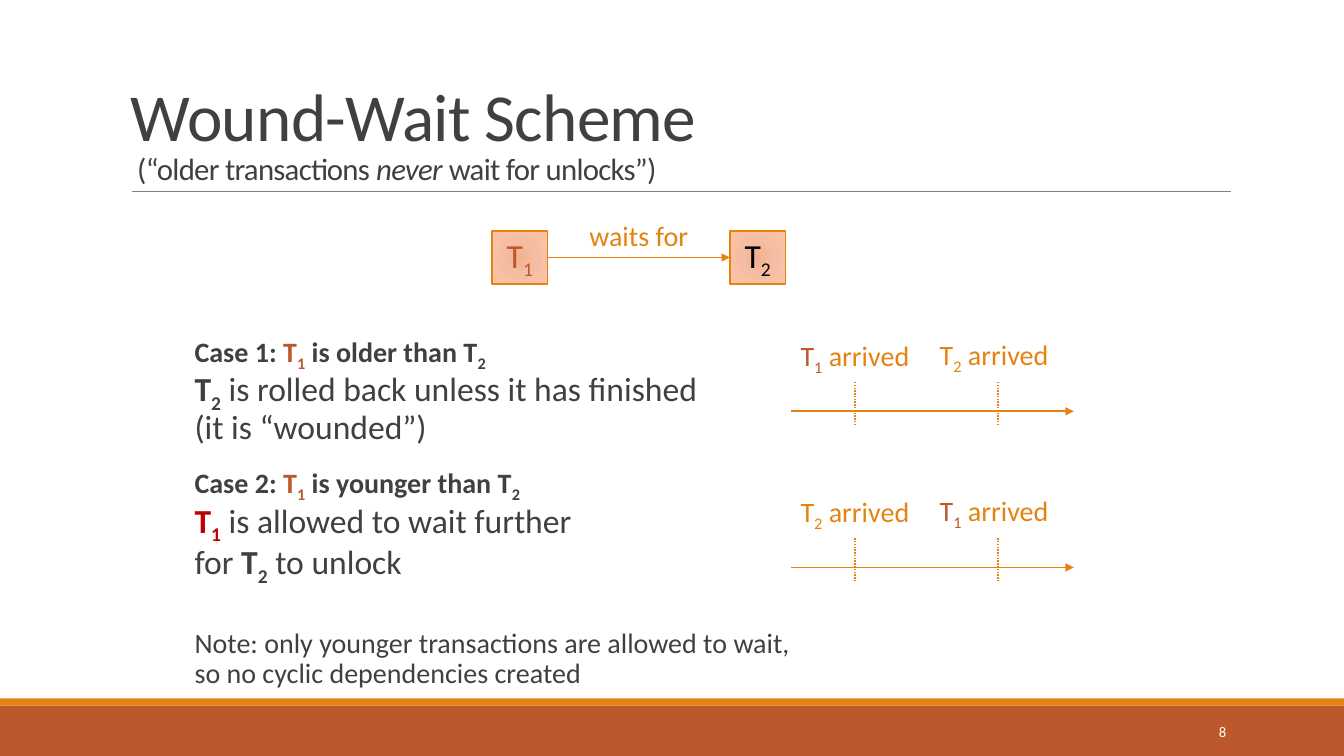
from lxml.etree import SubElement
from pptx import Presentation
from pptx.dml.color import RGBColor
from pptx.enum.dml import MSO_LINE
from pptx.enum.shapes import MSO_CONNECTOR, MSO_SHAPE
from pptx.enum.text import MSO_ANCHOR as ANCHOR, PP_ALIGN as ALIGN
from pptx.oxml import parse_xml
from pptx.oxml.ns import nsdecls, qn
from pptx.util import Inches, Pt

FONT = "Calibri"
COLORS = {
    "text": "404040",
    "orange": "E48312",
    "rust": "BD582C",
    "red": "C00000",
    "rule": "808080",
    "white": "FFFFFF",
    "black": "000000",
}
BOX_GRADIENT = [(0, "F0B191"), (45, "F5BEA4"), (100, "FDC3A8")]


def rgb(name):
    return RGBColor.from_string(COLORS[name])


def transaction(number, **style):
    return [("T", style), (str(number), {**style, "base": -25})]


def add_span(para, text, size=20, color="text", bold=False, italic=False, base=0, spacing=0):
    for index, line in enumerate(text.split("\n")):
        if index:
            para.add_line_break()
        if not line:
            continue
        span = para.add_run()
        span.text = line
        font = span.font
        font.name, font.size = FONT, Pt(size)
        font.bold, font.italic = bold, italic
        font.color.rgb = rgb(color)
        properties = span._r.get_or_add_rPr()
        if base:
            properties.set("baseline", str(base * 1000))
        if spacing:
            properties.set("spc", str(int(spacing * 100)))


def write_text(frame, paragraphs, align=ALIGN.LEFT, anchor=ANCHOR.TOP, wrap=True,
               line_spacing=None, gaps=None, after=0, indent=0, side_inset=0.1, **style):
    frame.word_wrap = wrap
    frame.vertical_anchor = anchor
    frame.margin_left = frame.margin_right = Inches(side_inset)
    for index, spans in enumerate(paragraphs):
        para = frame.add_paragraph() if index else frame.paragraphs[0]
        para.alignment = align
        if line_spacing:
            para.line_spacing = line_spacing
        if index and gaps:
            para.space_before = Pt(gaps[index - 1])
        para.space_after = Pt(after)
        if indent:
            para._p.get_or_add_pPr().set("marL", str(Inches(indent)))
        for text, own in spans:
            add_span(para, text, **{**style, **own})


def add_text(page, left, top, width, height, paragraphs, **style):
    box = page.shapes.add_textbox(Inches(left), Inches(top), Inches(width), Inches(height))
    write_text(box.text_frame, paragraphs, **style)


def add_rect(page, left, top, width, height, fill=None):
    rect = page.shapes.add_shape(
        MSO_SHAPE.RECTANGLE, Inches(left), Inches(top), Inches(width), Inches(height))
    rect.shadow.inherit = False
    rect.line.fill.background()
    if fill:
        rect.fill.solid()
        rect.fill.fore_color.rgb = rgb(fill)
    return rect


def add_line(page, start, end, color="orange", width=1.25, arrow=False, dash=None):
    line = page.shapes.add_connector(
        MSO_CONNECTOR.STRAIGHT, *(Inches(value) for value in (*start, *end)))
    line.line.color.rgb = rgb(color)
    line.line.width = Pt(width)
    if dash:
        line.line.dash_style = dash
    if arrow:
        SubElement(line.line._get_or_add_ln(), qn("a:tailEnd"), type="triangle")
    SubElement(line._element.spPr, qn("a:effectLst"))
    return line


def fill_radial(shape, stops):
    shape.fill.background()
    properties = shape._element.spPr
    stop_xml = "".join(
        f'<a:gs pos="{position * 1000}"><a:srgbClr val="{color}"/></a:gs>'
        for position, color in stops)
    gradient = parse_xml(
        f'<a:gradFill {nsdecls("a")} rotWithShape="1"><a:gsLst>{stop_xml}</a:gsLst>'
        '<a:path path="circle"><a:fillToRect l="100000" t="100000" r="100000" b="100000"/>'
        '</a:path></a:gradFill>')
    properties.replace(properties.find(qn("a:noFill")), gradient)


def draw_footer(page, top, width, height):
    add_rect(page, 0, top + 0.07, width, height - 0.07, "rust")
    add_rect(page, 0, top, width, 0.07, "orange")
    add_text(page, width - 2.5, top + 0.13, 1.43, 0.4, [[("8", {})]],
             size=10.5, color="white", align=ALIGN.RIGHT, anchor=ANCHOR.MIDDLE)


def draw_title(page, left, top, width, height):
    bottom = top + height
    add_line(page, (left + 0.11, bottom), (left + width + 0.01, bottom), "rule", 0.5)
    spans = [
        ("Wound-Wait Scheme\n", {"size": 48}),
        (" ", {"size": 20}),
        ("(“older transactions ", {}),
        ("never", {"italic": True}),
        (" wait for unlocks”)", {}),
    ]
    add_text(page, left, top, width, height, [spans],
             size=22, spacing=-0.5, line_spacing=0.85, anchor=ANCHOR.BOTTOM)


def draw_cases(page, left, top, width, height):
    heading = {"size": 20, "bold": True}
    strong = {"size": 24, "bold": True}
    plain = {"size": 24}

    def case_heading(number, relation):
        return [
            (f"Case {number}: ", heading),
            *transaction(1, **heading, color="rust"),
            (f" is {relation} than ", heading),
            *transaction(2, **heading),
            ("\n", heading),
        ]

    wounded = [
        *case_heading(1, "older"),
        *transaction(2, **strong),
        (" is rolled back unless it has finished\n(it is “wounded”)", plain),
    ]
    waiting = [
        *case_heading(2, "younger"),
        *transaction(1, **strong, color="red"),
        (" is allowed to wait further\nfor ", plain),
        *transaction(2, **strong),
        (" to unlock", plain),
    ]
    note = [("Note: only younger transactions are allowed to wait,\n"
             "so no cyclic dependencies created", {})]
    add_text(page, left, top, width, height, [wounded, waiting, note],
             line_spacing=0.9, gaps=[12, 30.7], after=2, indent=0.1, side_inset=0)


def draw_wait_graph(page, left, top, width, height):
    side = 0.55
    boxes = []
    for number, color, box_left in ((1, "rust", left), (2, "black", left + width - side)):
        box = add_rect(page, box_left, top, side, height)
        fill_radial(box, BOX_GRADIENT)
        box.line.color.rgb = rgb("orange")
        box.line.width = Pt(1)
        write_text(box.text_frame, [transaction(number)], size=24, color=color,
                   align=ALIGN.CENTER, anchor=ANCHOR.MIDDLE)
        boxes.append(box)
    middle = top + height / 2
    arrow = add_line(page, (left + side, middle), (left + width - side, middle), arrow=True)
    arrow.begin_connect(boxes[0], 3)
    arrow.end_connect(boxes[1], 1)
    add_text(page, left + 0.86, top - 0.17, 1.19, 0.44, [[("waits for", {})]],
             color="orange", align=ALIGN.CENTER, wrap=False)


def draw_timeline(page, left, top, width, arrivals):
    axis = top + 0.78
    add_line(page, (left, axis), (left + width, axis), arrow=True)
    marks = ((0.63, -0.02, 0.01), (2.05, 1.36, 0))
    for number, (tick, label_left, label_top) in zip(arrivals, marks):
        add_line(page, (left + tick, axis - 0.29), (left + tick, axis + 0.13),
                 width=1, dash=MSO_LINE.ROUND_DOT)
        label = [*transaction(number, color="rust" if number == 1 else "orange"),
                 (" arrived", {"color": "orange"})]
        add_text(page, left + label_left, top + label_top, 1.3, 0.44, [label],
                 align=ALIGN.CENTER, wrap=False)


def main():
    deck = Presentation()
    deck.slide_width, deck.slide_height = Inches(13.33), Inches(7.5)
    page = deck.slides.add_slide(deck.slide_layouts[6])
    draw_footer(page, 6.93, 13.33, 0.57)
    draw_title(page, 1.2, 0.31, 11, 1.59)
    draw_cases(page, 1.83, 3.27, 9, 4.2)
    draw_wait_graph(page, 4.88, 2.29, 2.91, 0.53)
    for top, arrivals in ((3.3, (1, 2)), (4.85, (2, 1))):
        draw_timeline(page, 7.85, top, 2.8, arrivals)
    deck.save("out.pptx")


if __name__ == "__main__":
    main()
